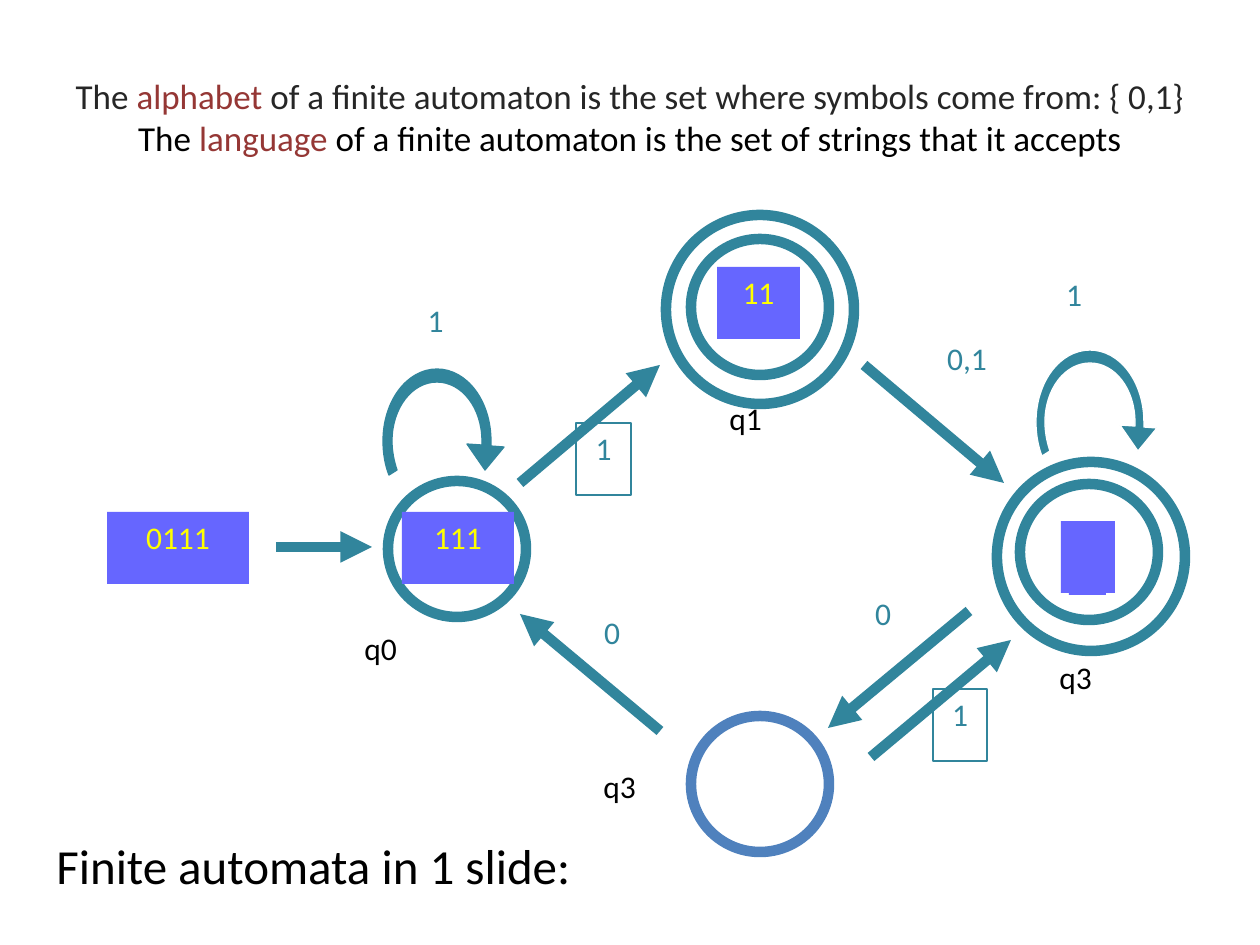
from lxml import etree
from pptx import Presentation
from pptx.dml.color import RGBColor
from pptx.enum.shapes import MSO_CONNECTOR, MSO_SHAPE
from pptx.enum.text import MSO_ANCHOR, PP_ALIGN
from pptx.oxml.ns import qn
from pptx.util import Pt

OVAL = MSO_SHAPE.OVAL
LEFT, CENTER = PP_ALIGN.LEFT, PP_ALIGN.CENTER
TOP, MIDDLE = MSO_ANCHOR.TOP, MSO_ANCHOR.MIDDLE
STRAIGHT = MSO_CONNECTOR.STRAIGHT
PX = 914400 / 126
TEAL, BLUE, PURPLE = "31859C", "4F81BD", "6666FF"
YELLOW, RED, DARK, BLACK, WHITE = "FFFF00", "953735", "262626", "000000", "FFFFFF"

TITLE = [
    ("The ", DARK), ("alphabet", RED),
    (" of a finite automaton is the set where symbols come from: { 0,1}", DARK),
    ("\n", DARK),
    ("The ", BLACK), ("language", RED),
    (" of a finite automaton is the set of strings that it accepts", BLACK),
]
# left, top, width, height, line colour
RINGS = [
    (388, 481, 138, 136, TEAL),
    (691, 239, 138, 136, TEAL), (666, 215, 188, 189, TEAL),
    (1020, 484, 138, 136, TEAL), (997, 462, 188, 189, TEAL),
    (691, 716, 138, 136, BLUE),
]
# start x, y, end x, y
ARROWS = [
    (276, 547, 372, 547), (520, 483, 660, 365), (864, 365, 1004, 483),
    (969, 611, 828, 728), (871, 757, 1011, 640), (660, 731, 520, 614),
]
# centre x, y, line colour
LOOPS = [(437, 441, TEAL), (1090, 422, WHITE)]
# loop outline about its centre: one point is a line, three are a curve
START = (45, 4)
STEPS = [
    [(45, 3), (45, 1), (45, 0)],
    [(45, -33), (25, -59), (0, -59)],
    [(-25, -59), (-45, -33), (-45, 0)],
    [(-45, 10), (-43, 20), (-40, 29)],
    [(-48, 34)],
    [(-52, 24), (-54, 12), (-54, 0)],
    [(-54, -40), (-30, -72), (0, -72)],
    [(30, -72), (54, -40), (54, 0)],
    [(54, 2), (54, 4), (54, 5)],
    [(67, 6)], [(48, 29)], [(30, 3)],
]
# text, left, top, width
SYMBOLS = [
    ("1", 408, 295, 55), ("0,1", 918, 333, 98), ("0", 856, 588, 54),
    ("0", 585, 607, 54), ("1", 1047, 269, 54),
]
FRAMED = [("1", 576, 423, 55), ("1", 933, 689, 54)]
INPUTS = [
    ("0111", 107, 512, 142), ("111", 402, 512, 112), ("11", 717, 267, 83),
    ("", 1061, 521, 54), ("", 1069, 523, 37),
]
BOX = 72
# text, left, top, width, height
STATES = [
    ("q0", 352, 623, 149, 50), ("q1", 717, 393, 111, 89),
    ("q3", 591, 761, 88, 50), ("q3", 1047, 652, 120, 50),
]

deck = Presentation()
deck.slide_width, deck.slide_height = round(1260 * PX), round(945 * PX)
slide = deck.slides.add_slide(deck.slide_layouts[6])
shapes = slide.shapes


def rgb(code):
    return RGBColor.from_string(code)


def emu(*sizes):
    return [round(n * PX) for n in sizes]


def style(shape, fill=None, line=None, width=0.75):
    if fill:
        shape.fill.solid()
        shape.fill.fore_color.rgb = rgb(fill)
    else:
        shape.fill.background()
    if line:
        shape.line.color.rgb = rgb(line)
        shape.line.width = Pt(width)
    else:
        shape.line.fill.background()


def write(text, *place, size=18, color=TEAL, align=CENTER, anchor=TOP,
          wrap=False, fill=None, line=None):
    """Place text, a string or a list of (text, colour) runs, in a box."""
    shape = shapes.add_textbox(*emu(*place))
    if fill or line:
        style(shape, fill, line)
    frame = shape.text_frame
    frame.word_wrap, frame.vertical_anchor = wrap, anchor
    para = frame.paragraphs[0]
    para.alignment = align
    runs = [(text, color)] if isinstance(text, str) else text
    for part, tint in runs:
        if part == "\n":
            para.add_line_break()
        elif part:
            run = para.add_run()
            run.text = part
            run.font.name, run.font.size = "Calibri", Pt(size)
            run.font.color.rgb = rgb(tint)


def ring(*place, tint):
    shape = shapes.add_shape(OVAL, *emu(*place))
    shape.shadow.inherit = False
    style(shape, line=tint, width=6)


def arrow(*ends):
    link = shapes.add_connector(STRAIGHT, *emu(*ends))
    link.line.color.rgb = rgb(TEAL)
    link.line.width = Pt(6)
    etree.SubElement(link.line._get_or_add_ln(), qn("a:tailEnd"), type="triangle")
    etree.SubElement(link._element.spPr, qn("a:effectLst"))


def loop(x, y, line):
    dots = [emu(x + dx, y + dy) for step in STEPS for dx, dy in step]
    pen = shapes.build_freeform(*emu(x + START[0], y + START[1]))
    shape = pen.add_line_segments(dots, close=True).convert_to_shape()
    shape.shadow.inherit = False
    style(shape, TEAL, line)
    # Merge each three points of a curve into one Bezier segment
    lines = iter(list(shape._element.iter(qn("a:lnTo"))))
    for step in STEPS:
        first, *rest = [next(lines) for _ in step]
        if rest:
            first.tag = qn("a:cubicBezTo")
            for node in rest:
                first.append(node[0])
                node.getparent().remove(node)


# State rings, moves and self-loops
for *place, tint in RINGS:
    ring(*place, tint=tint)
for item in LOOPS:
    loop(*item)
for ends in ARROWS:
    arrow(*ends)

# Symbols on the moves, remaining input, state names
for item in SYMBOLS:
    write(*item, BOX)
for item in FRAMED:
    write(*item, BOX, line=TEAL)
for item in INPUTS:
    write(*item, BOX, color=YELLOW, fill=PURPLE)
for item in STATES:
    write(*item, color=BLACK, align=LEFT, wrap=True)

# Headings
write(TITLE, 63, 37, 1134, 158, size=20, anchor=MIDDLE, wrap=True)
write("Finite automata in 1 slide:", 44, 829, 595, BOX, size=28,
      color=BLACK, align=LEFT, wrap=True)

deck.save("out.pptx")
